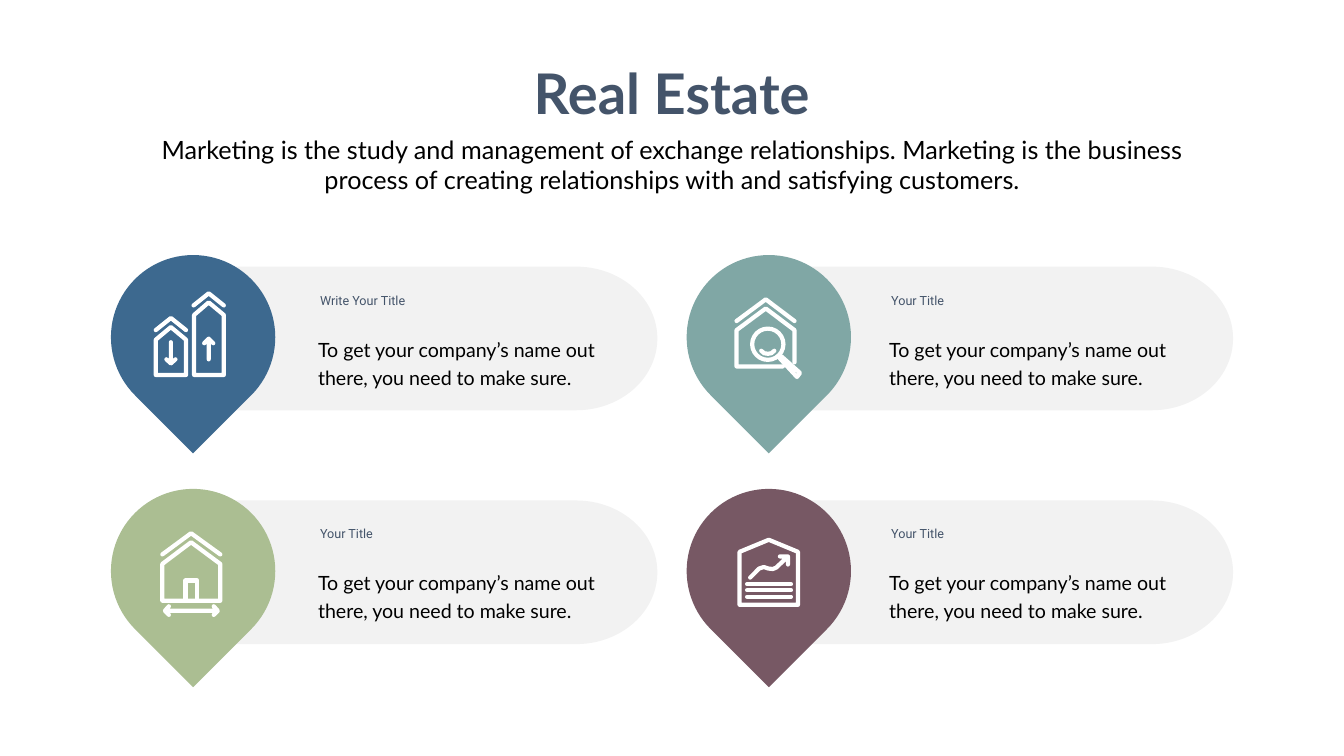
from lxml.etree import SubElement
from pptx import Presentation
from pptx.dml.color import RGBColor
from pptx.enum.shapes import MSO_CONNECTOR as Link, MSO_SHAPE as Kind
from pptx.enum.text import MSO_ANCHOR as Anchor, MSO_AUTO_SIZE as Auto, PP_ALIGN as Align
from pptx.oxml.ns import qn
from pptx.util import Emu, Pt

PX = 9144  # EMU in one px, 100 px to the inch
WHITE, NAVY, BLACK, GREY = "FFFFFF", "44546A", "000000", "808080"

HEAD = "Real Estate"
INTRO = ("Marketing is the study and management of exchange relationships. "
         "Marketing is the business process of creating relationships with "
         "and satisfying customers.")
BODY = "To get your company’s name out there, you need to make sure."

# Icons: strokes in px from the centre of the pin
TOWERS = [
    [(2, 75), (2, -44), (31, -69), (61, -44), (61, 75), (2, 75)],
    [(1, -63), (31, -87), (61, -63)],
    [(-74, 75), (-74, 5), (-44, -20), (-14, 5), (-14, 75), (-74, 75)],
    [(-74, -14), (-44, -38), (-14, -14)],
    [(-44, 10), (-44, 52), (-53, 44), (-44, 52), (-35, 44)],
    [(31, 44), (31, 3), (22, 12), (31, 3), (40, 12)],
]
SEARCH = [
    [(-64, -32), (-6, -75), (51, -32)],
    [(28, 58), (-64, 58), (-64, -14), (-6, -57), (51, -14), (51, 50)],
    [(21, 41), (25, 38), (62, 71), (56, 79), (21, 41)],
    [(-15, 27), (-9, 32), (-2, 33), (5, 32), (11, 27)],
]
LENS = (-33, -17, 62, 62)
HOME = [
    [(-61, 59), (-61, -14), (-4, -57), (54, -14), (54, 59), (-61, 59)],
    [(-15, 59), (-15, 19), (8, 19), (8, 59)],
    [(-61, -33), (-4, -75), (54, -33)],
    [(-48, 70), (-56, 79), (-48, 87), (-56, 79), (49, 79), (41, 70),
     (49, 79), (41, 87)],
]
REPORT = [
    [(-58, 67), (-58, -38), (0, -62), (58, -38), (58, 67), (-58, 67)],
    [(-37, 13), (-19, -5), (-10, -8), (-1, -5), (8, -4), (15, -7), (38, -29),
     (22, -29), (38, -29), (38, -13)],
    *[[(-43, y), (44, y)] for y in (26, 38, 51)],
]

# Title, colour, strokes, lens; two cards to a row
CARDS = [
    ("Write Your Title", "3D698F", TOWERS, None),
    ("Your Title", "80A7A5", SEARCH, LENS),
    ("Your Title", "ABBE92", HOME, None),
    ("Your Title", "775864", REPORT, None),
]
PIN = 326
SMALL = {"size": Pt(18), "name": "Roboto"}
PLAIN = {"size": Pt(28), "name": "Lato"}
LARGE = {"size": Pt(36), "name": "Lato"}
TITLE = {"size": Pt(80), "name": "Lato", "bold": True}


def rgb(code):
    return RGBColor.from_string(code)


def emu(*nums):
    return [Emu(round(n * PX)) for n in nums]


def fill(frame, words, look, color, align=Align.LEFT, wrap=True):
    """Put one formatted paragraph into a text frame."""
    frame.word_wrap = wrap
    frame.auto_size = Auto.SHAPE_TO_FIT_TEXT
    frame.vertical_anchor = Anchor.TOP
    para = frame.paragraphs[0]
    para.alignment = align
    run = para.add_run()
    run.text = words
    for key, val in look.items():
        setattr(run.font, key, val)
    run.font.color.rgb = rgb(color)
    return para


def block(kind, box, color):
    shape = slide.shapes.add_shape(kind, *emu(*box))
    shape.shadow.inherit = False
    shape.fill.solid()
    shape.fill.fore_color.rgb = rgb(color)
    shape.line.fill.background()
    return shape


def ink(shape):
    """Give a shape a round white stroke and nothing else."""
    line = shape.line
    line.color.rgb = rgb(WHITE)
    line.width = Pt(6)
    edge = line.fill._xPr
    edge.set("cap", "rnd")
    SubElement(edge, qn("a:round"))
    if hasattr(shape, "fill"):
        shape.fill.background()
        shape.shadow.inherit = False
    else:
        SubElement(shape._element.spPr, qn("a:effectLst"))


def icon(x, y, paths, lens):
    parts = slide.shapes.add_group_shape().shapes
    for path in paths:
        if len(path) == 2:
            ends = [n for dx, dy in path for n in (x + dx, y + dy)]
            ink(parts.add_connector(Link.STRAIGHT, *emu(*ends)))
        else:
            pen = parts.build_freeform(*path[0], scale=PX)
            pen.add_line_segments(path[1:], close=False)
            ink(pen.convert_to_shape(*emu(x, y)))
    if lens:
        dx, dy, w, h = lens
        ink(parts.add_shape(Kind.OVAL, *emu(x + dx, y + dy, w, h)))


def text(box, *args, **opts):
    return fill(slide.shapes.add_textbox(*emu(*box)).text_frame, *args, **opts)


def card(i, name, color, paths, lens):
    row, col = divmod(i, 2)
    x, y = 220 + 1142 * col, 506 + 464 * row
    pill = block(Kind.FLOWCHART_TERMINATOR, (x + 83, y + 23, 1001, 285), GREY)
    tint = pill.fill._xPr.find(".//" + qn("a:srgbClr"))
    SubElement(tint, qn("a:alpha"), val="10000")
    block(Kind.TEAR, (x, y, PIN, PIN), color).rotation = 135
    icon(x + PIN // 2, y + PIN // 2, paths, lens)
    left, top = 621 + 1133 * col, 577 + 462 * row
    text((left + 4, top, 410, 71), name, SMALL, NAVY)
    para = text((left, top + 78, 629, 119), BODY, PLAIN, BLACK)
    para.line_spacing = Pt(40.8)


deck = Presentation()
deck.slide_width, deck.slide_height = emu(2666, 1500)
slide = deck.slides.add_slide(deck.slide_layouts[5])

title = slide.shapes.title
title.left, title.top, title.width, title.height = emu(1041, 112, 583, 145)
fill(title.text_frame, HEAD, TITLE, NAVY, align=Align.CENTER, wrap=False)
text((292, 261, 2082, 131), INTRO, LARGE, BLACK, align=Align.CENTER)

for i, item in enumerate(CARDS):
    card(i, *item)

deck.save("out.pptx")
